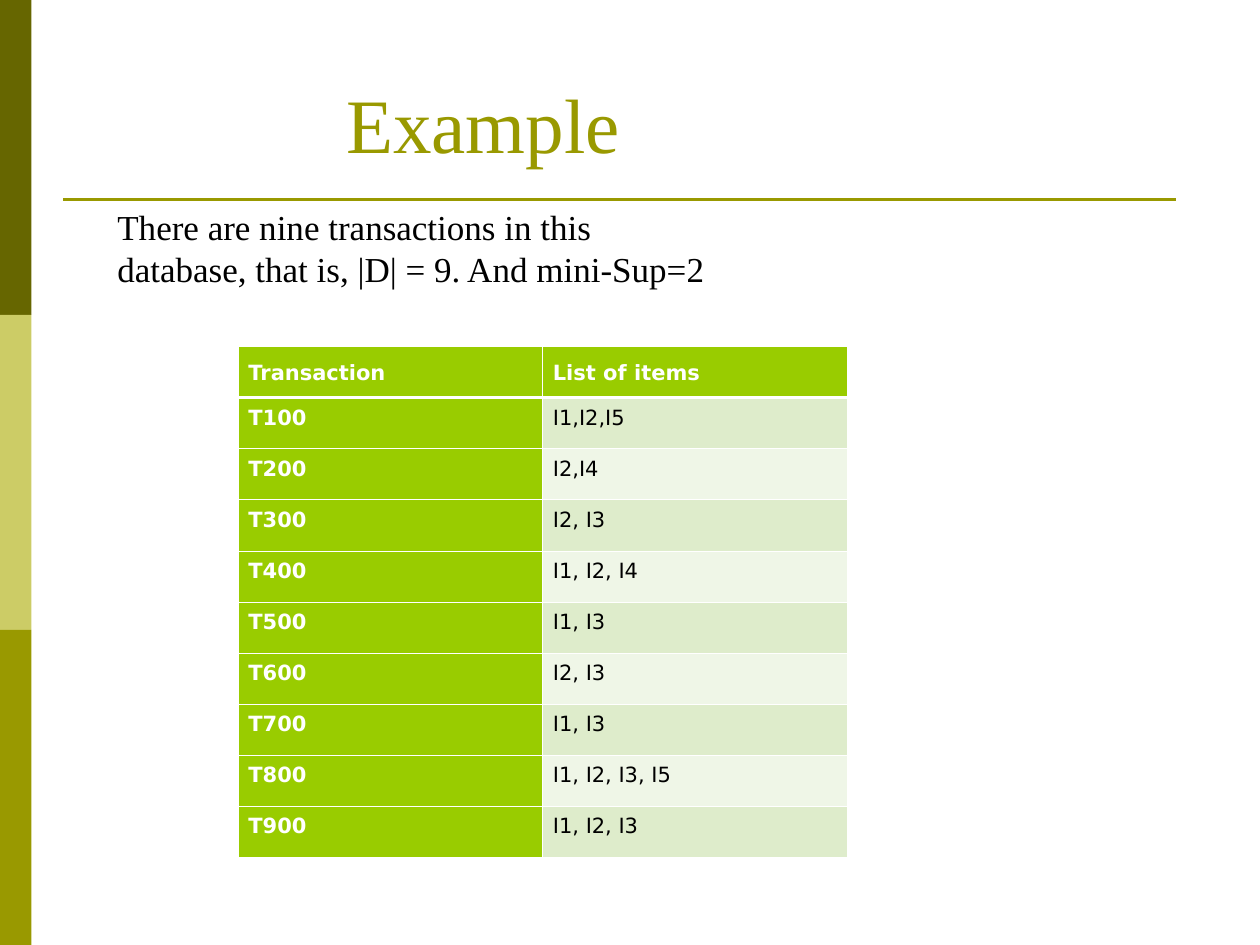
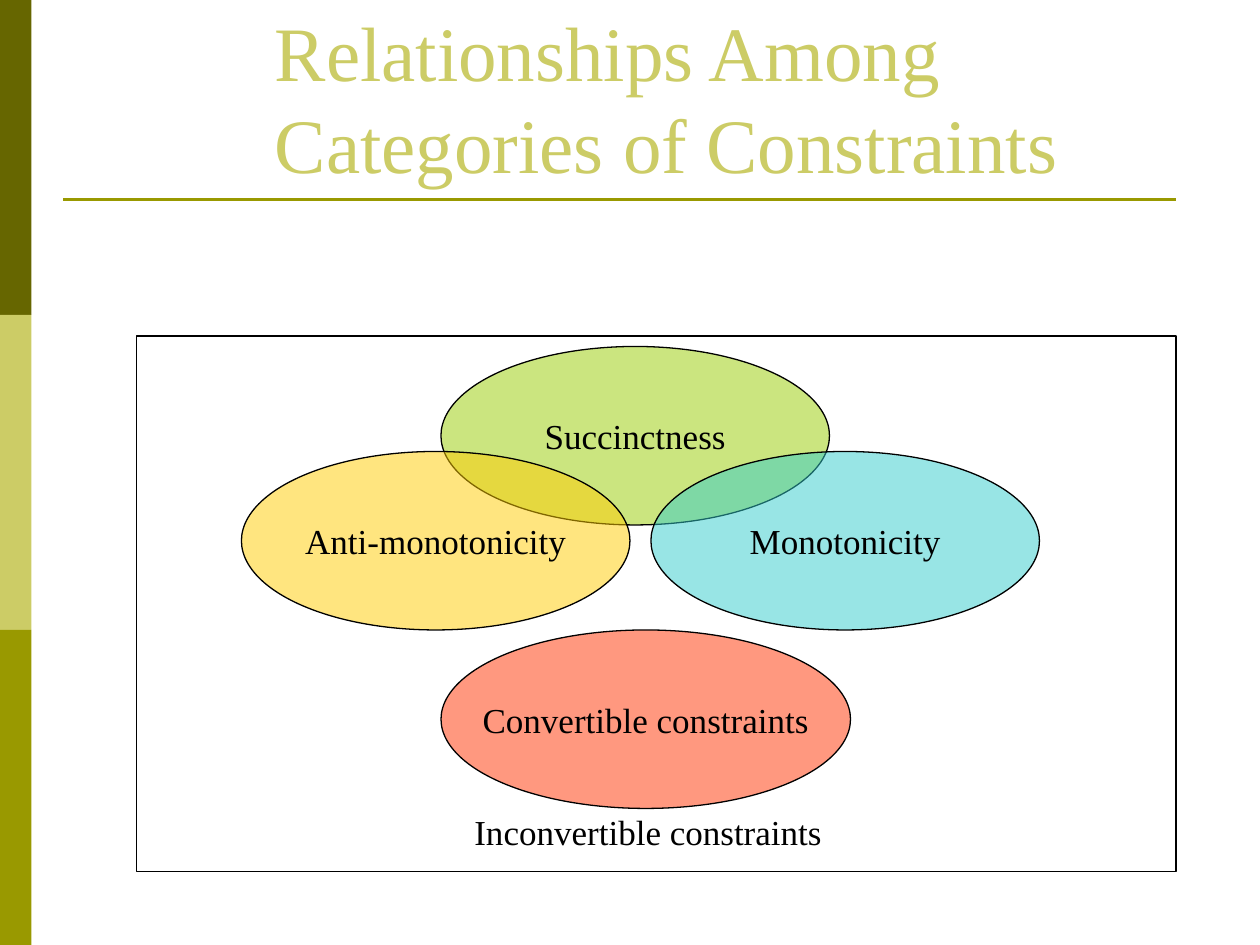
from dataclasses import dataclass

from lxml import etree
from pptx import Presentation
from pptx import util as u
from pptx.dml.color import RGBColor
from pptx.enum import shapes, text
from pptx.oxml import ns


@dataclass(frozen=True)
class Theme:
    dark: str = "666600"
    light: str = "CCCC66"
    olive: str = "999900"
    ink: str = "000000"
    white: str = "FFFFFF"
    header: str = "99CC00"
    stripes: tuple = ("DEECCB", "EFF6E7")
    serif: str = "Times New Roman"
    sans: str = "DejaVu Sans"
    title_size: int = 44
    body_size: int = 20
    table_size: int = 12


theme = Theme()
rgb = RGBColor.from_string

deck = Presentation()
deck.slide_width, deck.slide_height = u.Inches(10), u.Inches(7.5)
COLUMN = deck.slide_width / 120
ROW = deck.slide_height / 90


def place(left, top, width, height):
    """Turn grid columns and rows into slide lengths."""
    return [round(left * COLUMN), round(top * ROW), round(width * COLUMN), round(height * ROW)]


def write(frame, wording, size, color, font=theme.serif, bold=False):
    """Fill a text frame with one styled paragraph and return the paragraph."""
    frame.text = wording
    para = frame.paragraphs[0]
    para.font.name, para.font.size, para.font.bold = font, u.Pt(size), bold
    para.font.color.rgb = rgb(color)
    return para


# Shared side bands, rule and title
titles = [
    ("Example", theme.olive, (31.8, 1.7, 54.1, 15)),
    ("Relationships Among Categories of Constraints", theme.light, (25, 3.6, 89, 15)),
]
pages = []
for wording, color, area in titles:
    page = deck.slides.add_slide(deck.slide_layouts[6])
    pages.append(page)
    for index, band_color in enumerate((theme.dark, theme.light, theme.olive)):
        band = page.shapes.add_shape(shapes.MSO_SHAPE.RECTANGLE, *place(0, index * 30, 3, 30))
        band.shadow.inherit = False
        band.fill.solid()
        band.fill.fore_color.rgb = rgb(band_color)
        band.line.fill.background()
    rule = page.shapes.add_connector(shapes.MSO_CONNECTOR.STRAIGHT, *place(6, 19, 112, 19))
    rule.line.color.rgb = rgb(theme.olive)
    rule.line.width = u.Pt(1.5)
    etree.SubElement(rule._element.spPr, ns.qn("a:effectLst"))
    title = page.shapes.add_textbox(*place(*area)).text_frame
    title.word_wrap = True
    title.vertical_anchor = text.MSO_ANCHOR.BOTTOM
    write(title, wording, theme.title_size, color)

example_page, constraint_page = pages

# Transactions
intro = example_page.shapes.add_textbox(*place(10, 19, 60, 9.2)).text_frame
intro.word_wrap = True
write(intro, "There are nine transactions in this database, that is, |D| = 9. And mini-Sup=2",
      theme.body_size, theme.ink)

item_lists = ["I1,I2,I5", "I2,I4", "I2, I3", "I1, I2, I4", "I1, I3",
              "I2, I3", "I1, I3", "I1, I2, I3, I5", "I1, I2, I3"]
records = [("Transaction", "List of items")]
records += [(f"T{number}00", items) for number, items in enumerate(item_lists, 1)]
table = example_page.shapes.add_table(len(records), 2, *place(22.7, 33, 58, 48.7)).table
for row, record in enumerate(records):
    for column, wording in enumerate(record):
        cell = table.cell(row, column)
        is_label = row == 0 or column == 0
        cell.margin_left = cell.margin_right = u.Inches(0.08)
        cell.margin_top = cell.margin_bottom = u.Inches(0.05)
        cell.vertical_anchor = text.MSO_ANCHOR.MIDDLE if row == 0 else text.MSO_ANCHOR.TOP
        cell.fill.solid()
        cell.fill.fore_color.rgb = rgb(theme.header if is_label else theme.stripes[(row - 1) % 2])
        para = write(cell.text_frame, wording, theme.table_size,
                     theme.white if is_label else theme.ink, theme.sans, is_label)
        para.line_spacing = 1.07
        for order, side in enumerate("LRTB"):
            is_header_edge = (row, side) in ((0, "B"), (1, "T"))
            border = etree.Element(ns.qn(f"a:ln{side}"), w=str(u.Pt(1.47 if is_header_edge else 0.45)))
            paint = etree.SubElement(border, ns.qn("a:solidFill"))
            etree.SubElement(paint, ns.qn("a:srgbClr"), val=theme.white)
            cell._tc.get_or_add_tcPr().insert(order, border)

# Constraint categories
categories = [
    ("Succinctness", "99CC00", (42, 33, 37, 17)),
    ("Anti-monotonicity", "FFCC00", (23, 43, 37, 17)),
    ("Monotonicity", "33CCCC", (62, 43, 37, 17)),
    ("Convertible constraints", "FF3300", (42, 60, 39, 17)),
]
for wording, color, area in categories:
    oval = constraint_page.shapes.add_shape(shapes.MSO_SHAPE.OVAL, *place(*area))
    oval.shadow.inherit = False
    oval.fill.solid()
    oval.fill.fore_color.rgb = rgb(color)
    tint = oval._element.spPr.find(f".//{ns.qn('a:srgbClr')}")
    etree.SubElement(tint, ns.qn("a:alpha"), val="50000")
    oval.line.color.rgb = rgb(theme.ink)
    oval.line.width = u.Pt(0.75)
    oval.text_frame.word_wrap = False
    oval.text_frame.vertical_anchor = text.MSO_ANCHOR.MIDDLE
    para = write(oval.text_frame, wording, theme.body_size, theme.ink)
    para.alignment = text.PP_ALIGN.CENTER

remainder = constraint_page.shapes.add_textbox(*place(44, 76.6, 35.5, 5.3)).text_frame
remainder.word_wrap = False
write(remainder, "Inconvertible constraints", theme.body_size, theme.ink)

universe = constraint_page.shapes.add_shape(shapes.MSO_SHAPE.RECTANGLE, *place(13, 32, 99, 51))
universe.shadow.inherit = False
universe.fill.background()
universe.line.color.rgb = rgb(theme.ink)
universe.line.width = u.Pt(0.75)

deck.save("out.pptx")
